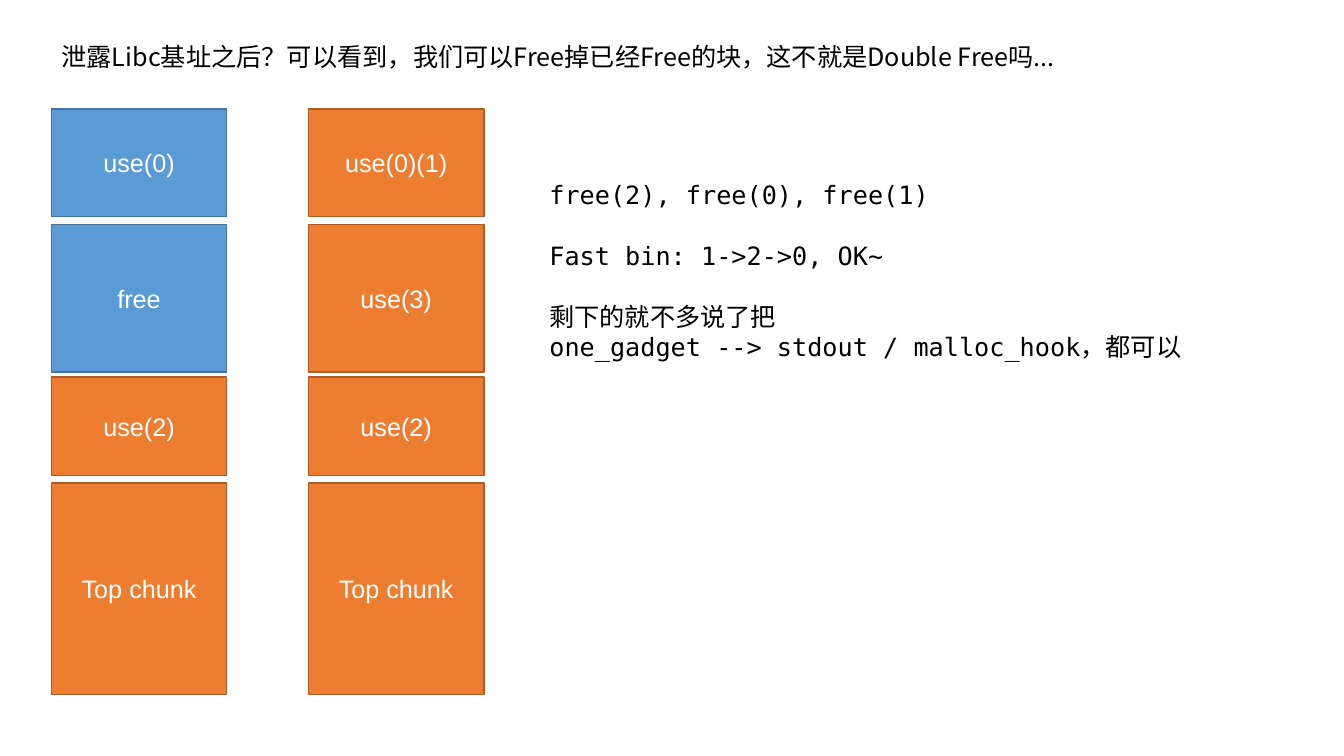
from pptx import Presentation
from pptx.dml.color import RGBColor
from pptx.enum.shapes import MSO_SHAPE
from pptx.enum.text import MSO_ANCHOR, MSO_AUTO_SIZE, PP_ALIGN
from pptx.oxml.ns import qn
from pptx.util import Inches, Pt

RECT = MSO_SHAPE.RECTANGLE
TOP, MIDDLE = MSO_ANCHOR.TOP, MSO_ANCHOR.MIDDLE
LEFT, CENTER = PP_ALIGN.LEFT, PP_ALIGN.CENTER
FIXED = MSO_AUTO_SIZE.NONE

HEX = {"blue": "5B9BD5", "navy": "43739E", "orange": "ED7D31",
       "rust": "AF5C24", "white": "FFFFFF", "black": "000000"}
EDGE = {"blue": "navy", "orange": "rust"}
SANS, MONO, HAN = "Arial", "DejaVu Sans Mono", "Noto Sans CJK SC"

# Heap grid: columns share a width and pitch, rows are (top, height)
START, PITCH, WIDTH = 0.51, 2.55, 1.74
ROWS = [(1.08, 1.07), (2.23, 1.46), (3.74, 0.98), (4.79, 2.1)]
HEAPS = [
    [("use(0)", "blue"), ("free", "blue"),
     ("use(2)", "orange"), ("Top chunk", "orange")],
    [("use(0)(1)", "orange"), ("use(3)", "orange"),
     ("use(2)", "orange"), ("Top chunk", "orange")],
]

TITLE = ("泄露Libc基址之后？可以看到，我们可以Free掉已经Free的块，"
         "这不就是Double Free吗...")
# Each line with the space before it, in points
NOTES = [("free(2), free(0), free(1)", 0),
         ("Fast bin: 1->2->0, OK~", 22),
         ("剩下的就不多说了把", 22),
         ("one_gadget --> stdout / malloc_hook，都可以", 0)]


def color(name):
    return RGBColor.from_string(HEX[name])


def assign(item, values):
    for key, value in values.items():
        setattr(item, key, value)


def place(shape, left, top, width, height):
    box = {"left": left, "top": top, "width": width, "height": height}
    assign(shape, {key: Inches(value) for key, value in box.items()})


def write(shape, lines, face, ink, align, anchor):
    """Fill a shape with (text, space before) lines in one style."""
    frame = shape.text_frame
    assign(frame, {"word_wrap": True, "auto_size": FIXED,
                   "vertical_anchor": anchor})
    for index, (text, space) in enumerate(lines):
        para = frame.add_paragraph() if index else frame.paragraphs[0]
        assign(para, {"alignment": align, "space_before": Pt(space)})
        run = para.add_run()
        run.text = text
        assign(run.font, {"name": face, "size": Pt(18), "bold": False})
        run.font.color.rgb = color(ink)
        asian = run.font._element.makeelement(qn("a:ea"), {"typeface": HAN})
        run.font._element.append(asian)


def add_chunk(slide, col, row, text, tone):
    top, height = ROWS[row]
    box = [Inches(n) for n in (START + col * PITCH, top, WIDTH, height)]
    chunk = slide.shapes.add_shape(RECT, *box)
    chunk.shadow.inherit = False
    chunk.fill.solid()
    chunk.fill.fore_color.rgb = color(tone)
    chunk.line.color.rgb = color(EDGE[tone])
    chunk.line.width = Pt(1)
    write(chunk, [(text, 0)], SANS, "white", CENTER, MIDDLE)


def add_title(slide):
    title = slide.shapes.title
    place(title, START, 0.36, 10.74, 0.4)
    write(title, [(TITLE, 0)], HAN, "black", LEFT, TOP)


def add_notes(slide):
    box = [Inches(n) for n in (5.35, 1.73, 6.68, 1.92)]
    notes = slide.shapes.add_textbox(*box)
    write(notes, NOTES, MONO, "black", LEFT, TOP)


def main():
    deck = Presentation()
    assign(deck, {"slide_width": Inches(13.33), "slide_height": Inches(7.5)})
    slide = deck.slides.add_slide(deck.slide_layouts.get_by_name("Title Only"))
    add_title(slide)
    for col, heap in enumerate(HEAPS):
        for row, (text, tone) in enumerate(heap):
            add_chunk(slide, col, row, text, tone)
    add_notes(slide)
    deck.save("out.pptx")


if __name__ == "__main__":
    main()
